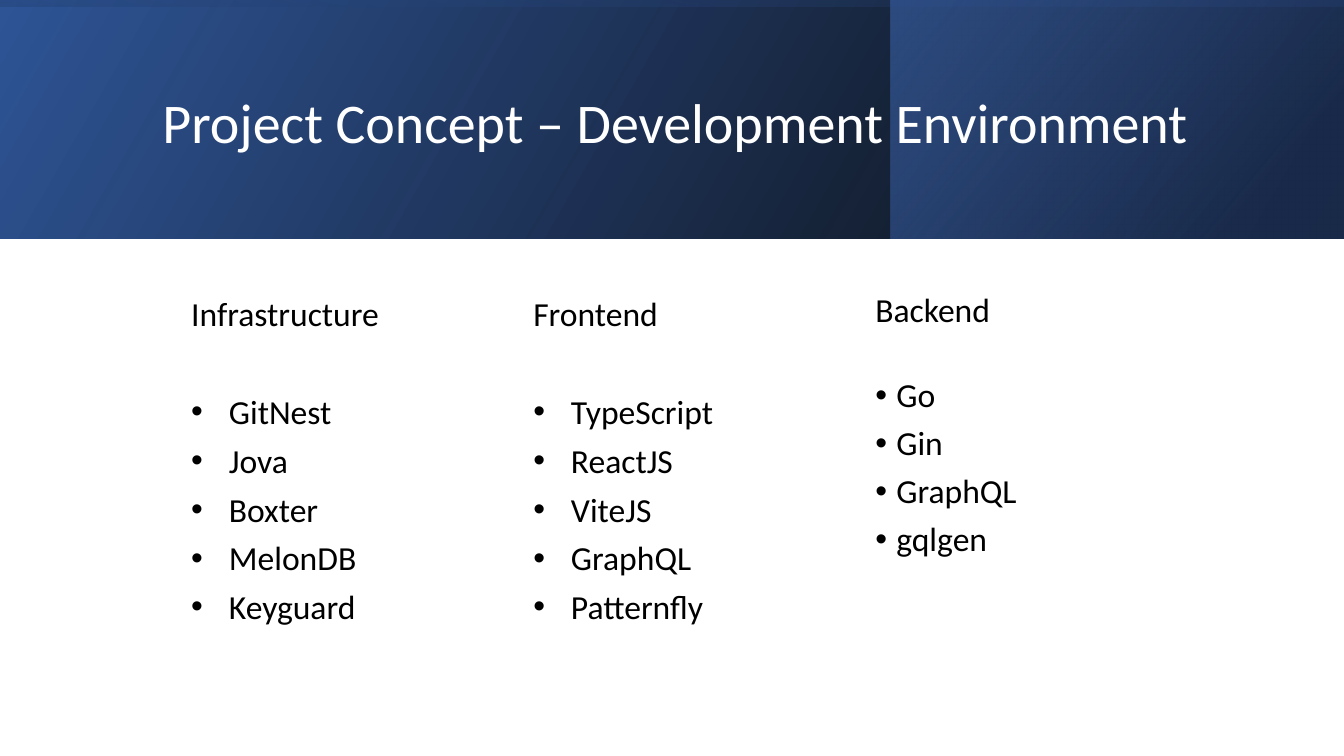
from dataclasses import dataclass

from pptx import Presentation, util as u
from pptx.dml.color import RGBColor
from pptx.enum import shapes, text
from pptx.oxml.ns import qn
from pptx.oxml.xmlchemy import OxmlElement


@dataclass(frozen=True)
class Theme:
    font: str = "Calibri"
    head: int = 40
    body: int = 24
    white: str = "FFFFFF"
    black: str = "000000"
    blue: str = "2F5597"
    navy: str = "203864"
    sky: str = "4472C4"


@dataclass(frozen=True)
class Style:
    hang: float
    line: float
    above: float
    below: float
    gap: float


THEME = Theme()
LOOSE = Style(hang=0.95, line=1.0, above=0, below=6, gap=35.3)
TIGHT = Style(hang=0.53, line=0.9, above=8.4, below=0, gap=27)
WIDE, HIGH = 33.87, 19.05
LISTS = [
    ("Infrastructure", ["GitNest", "Jova", "Boxter", "MelonDB", "Keyguard"], LOOSE),
    ("Frontend", ["TypeScript", "ReactJS", "ViteJS", "GraphQL", "Patternfly"], LOOSE),
    ("Backend", ["Go", "Gin", "GraphQL", "gqlgen"], TIGHT),
]


def format_text(para, size, color):
    for run in para.runs:
        run.font.name = THEME.font
        run.font.size = u.Pt(size)
        run.font.color.rgb = RGBColor.from_string(color)


def add_panel(slide, box, stops, angle, turn=0):
    left, top, width, height = box
    if turn:
        left, top = left + (width - height) / 2, top + (height - width) / 2
        width, height = height, width
    panel = slide.shapes.add_shape(
        shapes.MSO_SHAPE.RECTANGLE, *map(u.Cm, (left, top, width, height)))
    panel.shadow.inherit = False
    panel.line.fill.background()
    panel.rotation = turn
    panel.fill.gradient()
    panel.fill.gradient_angle = 360 - angle
    for stop, (place, color, solid) in zip(panel.fill.gradient_stops, stops):
        stop.position = place / 100
        stop.color.rgb = RGBColor.from_string(color)
    props = panel._element.spPr
    props.find(qn("a:xfrm")).set("flipH", "1")
    for tint, (place, color, solid) in zip(props.iter(qn("a:srgbClr")), stops):
        if solid < 100:
            alpha = OxmlElement("a:alpha")
            alpha.set("val", str(solid * 1000))
            tint.append(alpha)


def add_banner(slide, box, title):
    left, top, width, height = box
    split = 22.45
    add_panel(slide, box, [(0, THEME.black, 96), (100, THEME.blue, 100)], 330)
    add_panel(slide, (left + split, top, width - split, height),
              [(19, THEME.navy, 68), (100, THEME.sky, 48)], 320)
    add_panel(slide, box, [(23, THEME.blue, 16), (99, THEME.black, 45)], 350, 270)

    head = slide.shapes.title
    head.left, head.top = u.Cm(left + 3.84), u.Cm(top + 0.97)
    head.width, head.height = u.Cm(27), u.Cm(4.37)
    frame = head.text_frame
    frame.text = title
    frame.auto_size = text.MSO_AUTO_SIZE.NONE
    frame.vertical_anchor = text.MSO_ANCHOR.MIDDLE
    para = frame.paragraphs[0]
    para.alignment = text.PP_ALIGN.LEFT
    para.line_spacing = 0.9
    format_text(para, THEME.head, THEME.white)
    slide.shapes._spTree.append(head._element)


def add_bullet(para, hang):
    props = para._p.get_or_add_pPr()
    props.set("marL", str(u.Cm(hang)))
    props.set("indent", str(-u.Cm(hang)))
    face = OxmlElement("a:buFont")
    face.set("typeface", "Arial")
    mark = OxmlElement("a:buChar")
    mark.set("char", "•")
    props.extend([face, mark])


def add_list(slide, box, head, items, style):
    frame = slide.shapes.add_textbox(*map(u.Cm, box)).text_frame
    frame.word_wrap = True
    frame.text = "\n".join([head, *items])
    for spot, para in enumerate(frame.paragraphs):
        para.line_spacing = style.line
        para.space_before = u.Pt(style.above)
        para.space_after = u.Pt(style.below if spot else style.below + style.gap)
        format_text(para, THEME.body, THEME.black)
        if spot:
            add_bullet(para, style.hang)


def add_lists(slide, box, lists):
    left, top, width, height = box
    step = width / len(lists)
    for spot, (head, items, style) in enumerate(lists):
        place = (left + spot * step, top, step - 1.08, height)
        add_list(slide, place, head, items, style)


def main():
    deck = Presentation()
    deck.slide_width, deck.slide_height = u.Cm(WIDE), u.Cm(HIGH)
    slide = deck.slides.add_slide(deck.slide_layouts.get_by_name("Title Only"))
    add_banner(slide, (0, 0, WIDE, 6.02), "Project Concept – Development Environment")
    add_lists(slide, (4.57, 7.26, 25.86, 10.24), LISTS)
    deck.save("out.pptx")


if __name__ == "__main__":
    main()
